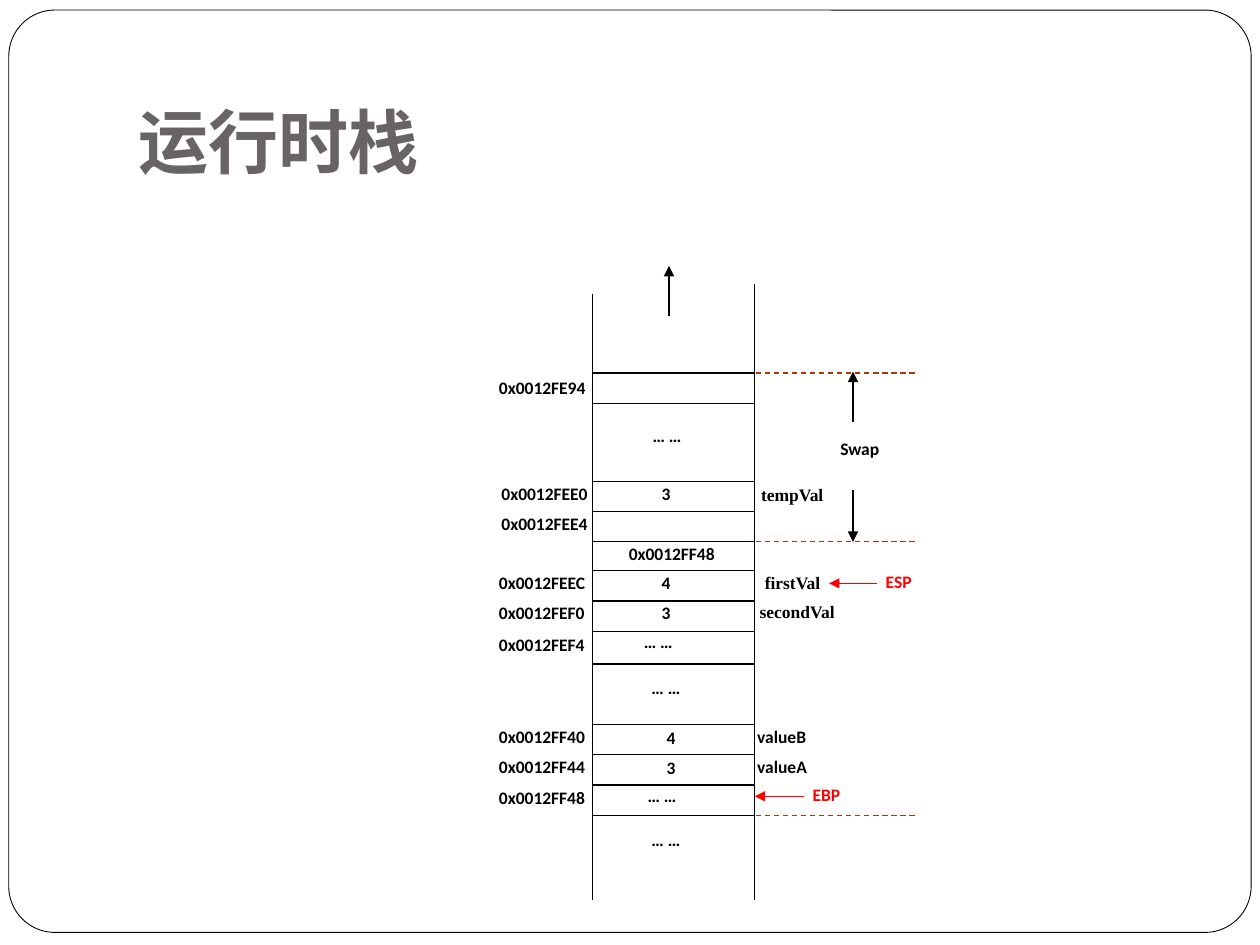
from dataclasses import dataclass

from lxml.etree import SubElement
from pptx import Presentation
from pptx.dml.color import RGBColor
from pptx.enum.dml import MSO_LINE
from pptx.enum.shapes import MSO_CONNECTOR, MSO_SHAPE
from pptx.enum.text import MSO_ANCHOR, MSO_AUTO_SIZE, PP_ALIGN
from pptx.oxml.ns import qn
from pptx.slide import Slide
from pptx.util import Emu, Pt

PX = 9144  # 100 px to the inch


@dataclass(frozen=True)
class Theme:
    ink: RGBColor = RGBColor(0x00, 0x00, 0x00)
    paper: RGBColor = RGBColor(0xFF, 0xFF, 0xFF)
    title: RGBColor = RGBColor(0x69, 0x64, 0x64)
    register: RGBColor = RGBColor(0xFF, 0x00, 0x00)
    boundary: RGBColor = RGBColor(0xAF, 0x34, 0x08)
    title_font: str = "Roboto"
    label_font: str = "Calibri"
    variable_font: str = "Times New Roman"
    title_size: int = 40
    label_size: int = 10
    line_width: float = 0.75
    frame_width: float = 0.5


THEME = Theme()


@dataclass(frozen=True)
class Label:
    text: str
    left: int
    top: int
    width: int
    font: str = THEME.label_font
    color: RGBColor = THEME.ink
    height: int = 25


@dataclass(frozen=True)
class Stroke:
    """A line; an arrow points at its end."""
    start: tuple[int, int]
    end: tuple[int, int]
    color: RGBColor = THEME.ink
    arrow: bool = False
    dashed: bool = False


STACK_LEFT, STACK_RIGHT, STACK_BOTTOM = 470, 599, 714
DIVIDER_TOPS = (296, 320, 382, 406, 430, 453, 477, 501, 527, 575, 599, 623, 647)
BOUNDARY_TOPS = (296, 430, 647)
BOUNDARY_LEFT, BOUNDARY_RIGHT = 600, 728
SWAP_CENTER = 677

STROKES = (
    Stroke((STACK_LEFT, 233), (STACK_LEFT, STACK_BOTTOM)),
    Stroke((STACK_RIGHT, 225), (STACK_RIGHT, STACK_BOTTOM)),
    *(Stroke((STACK_LEFT, top), (STACK_RIGHT, top)) for top in DIVIDER_TOPS),
    *(Stroke((BOUNDARY_LEFT, top), (BOUNDARY_RIGHT, top), THEME.boundary, dashed=True)
      for top in BOUNDARY_TOPS),
    Stroke((531, 251), (531, 211), arrow=True),
    Stroke((SWAP_CENTER, 335), (SWAP_CENTER, 295), arrow=True),
    Stroke((SWAP_CENTER, 389), (SWAP_CENTER, 430), arrow=True),
    Stroke((638, 632), (599, 632), THEME.register, arrow=True),
    Stroke((696, 463), (658, 463), THEME.register, arrow=True),
)

ADDRESSES = (
    ("0x0012FE94", 394, 298), ("0x0012FEE0", 396, 382), ("0x0012FEE4", 396, 406),
    ("0x0012FEEC", 394, 453), ("0x0012FEF0", 394, 477), ("0x0012FEF4", 394, 502),
    ("0x0012FF40", 394, 575), ("0x0012FF44", 394, 599), ("0x0012FF48", 394, 624),
    ("0x0012FF48", 497, 430),
)
VALUES = (("3", 523, 382), ("4", 523, 453), ("3", 523, 477),
          ("4", 527, 576), ("3", 527, 600))
GAPS = ((516, 336), (509, 500), (515, 536), (512, 622), (515, 657))
VARIABLES = (("tempVal", 602, 383), ("firstVal", 605, 453), ("secondVal", 601, 476))

LABELS = (
    *(Label(text, left, top, 85, height=24) for text, left, top in ADDRESSES),
    *(Label(text, left, top, 19) for text, left, top in VALUES),
    *(Label("… …", left, top, 48) for left, top in GAPS),
    *(Label(text, left, top, 73, THEME.variable_font, height=26)
      for text, left, top in VARIABLES),
    Label("valueB", 599, 575, 53),
    Label("valueA", 599, 599, 53),
    Label("Swap", 665, 347, 53),
    Label("EBP", 643, 621, 30, color=THEME.register),
    Label("ESP", 701, 452, 30, color=THEME.register),
)


def px(length: int) -> Emu:
    return Emu(length * PX)


def add_span(para, text: str, font: str, size: int, color: RGBColor) -> None:
    span = para.add_run()
    span.text = text
    span.font.name = font
    span.font.size = Pt(size)
    span.font.bold = True
    span.font.color.rgb = color


def set_insets(frame, side: int, top: int, bottom: int) -> None:
    frame.margin_left = frame.margin_right = px(side)
    frame.margin_top, frame.margin_bottom = px(top), px(bottom)


def draw_frame(page: Slide) -> None:
    frame = page.shapes.add_shape(
        MSO_SHAPE.ROUNDED_RECTANGLE, px(7), px(8), px(986), px(732))
    frame.adjustments[0] = 0.05
    frame.shadow.inherit = False
    frame.fill.solid()
    frame.fill.fore_color.rgb = THEME.paper
    frame.line.color.rgb = THEME.ink
    frame.line.width = Pt(THEME.frame_width)
    page.shapes._spTree.insert(2, frame._element)  # behind the title


def draw_title(page: Slide, text: str) -> None:
    title = page.shapes.title
    title.left, title.top, title.width, title.height = px(100), px(30), px(850), px(125)
    frame = title.text_frame
    frame.auto_size = MSO_AUTO_SIZE.NONE
    frame.vertical_anchor = MSO_ANCHOR.BOTTOM
    set_insets(frame, 10, 5, 10)
    para = frame.paragraphs[0]
    para.alignment = PP_ALIGN.LEFT
    add_span(para, text, THEME.title_font, THEME.title_size, THEME.title)


def draw_stroke(page: Slide, stroke: Stroke) -> None:
    connector = page.shapes.add_connector(
        MSO_CONNECTOR.STRAIGHT, *map(px, stroke.start), *map(px, stroke.end))
    line = connector.line
    line.color.rgb = stroke.color
    line.width = Pt(THEME.line_width)
    if stroke.dashed:
        line.dash_style = MSO_LINE.DASH
    if stroke.arrow:
        SubElement(line._get_or_add_ln(), qn("a:tailEnd"), type="triangle")
    SubElement(connector._element.spPr, qn("a:effectLst"))


def draw_label(page: Slide, label: Label) -> None:
    box = page.shapes.add_textbox(
        px(label.left), px(label.top), px(label.width), px(label.height))
    frame = box.text_frame
    frame.word_wrap = True
    set_insets(frame, 2, 1, 1)
    para = frame.paragraphs[0]
    para.alignment = PP_ALIGN.JUSTIFY
    add_span(para, label.text, label.font, THEME.label_size, label.color)


def main() -> None:
    deck = Presentation()
    deck.slide_width, deck.slide_height = px(1000), px(750)
    page = deck.slides.add_slide(deck.slide_layouts.get_by_name("Title Only"))
    draw_frame(page)
    draw_title(page, "运行时栈")
    for stroke in STROKES:
        draw_stroke(page, stroke)
    for label in LABELS:
        draw_label(page, label)
    deck.save("out.pptx")


if __name__ == "__main__":
    main()
